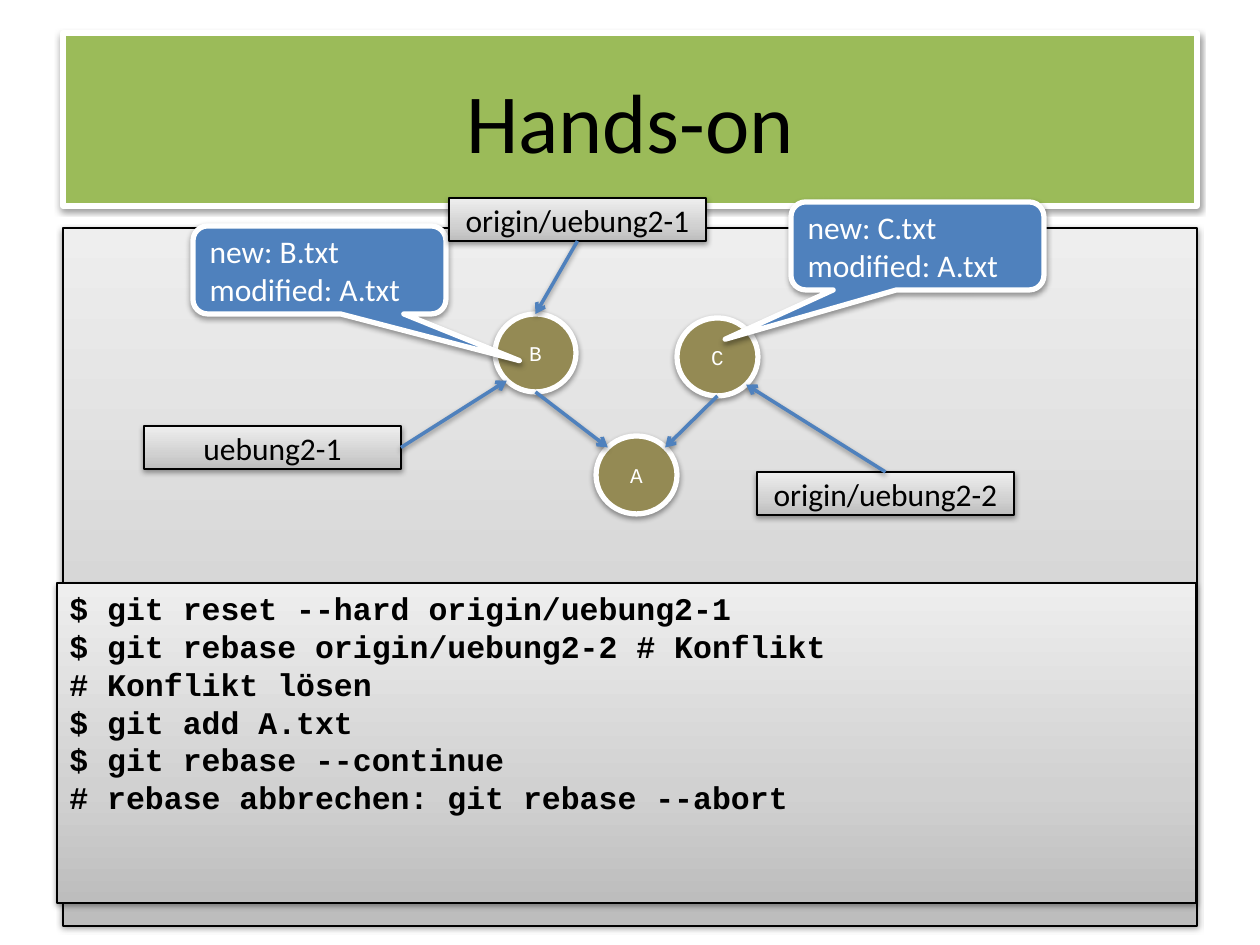
from lxml import etree
from pptx import Presentation
from pptx import util as u
from pptx.dml.color import RGBColor
from pptx.enum import shapes, text
from pptx.oxml import parse_xml
from pptx.oxml.ns import nsdecls, qn

SCALE = 914400 / 126  # EMU per px

BLACK = RGBColor(0x00, 0x00, 0x00)
WHITE = RGBColor(0xFF, 0xFF, 0xFF)
GREEN = RGBColor(0x9B, 0xBB, 0x59)
BLUE = RGBColor(0x4F, 0x81, 0xBD)
OLIVE = RGBColor(0x94, 0x8A, 0x54)
# Grey gradient, running upwards: position in percent, colour
GREYS = [(0, RGBColor(0xBD, 0xBD, 0xBD)),
         (35, RGBColor(0xD1, 0xD1, 0xD1)),
         (100, RGBColor(0xEE, 0xEE, 0xEE))]

SANS, MONO = "Calibri", "Courier New"
CENTER, LEFT = text.PP_ALIGN.CENTER, text.PP_ALIGN.LEFT
MIDDLE, TOP = text.MSO_ANCHOR.MIDDLE, text.MSO_ANCHOR.TOP
SHAPE = shapes.MSO_SHAPE

COMMANDS = [
    "$ git reset --hard origin/uebung2-1",
    "$ git rebase origin/uebung2-2 # Konflikt",
    "# Konflikt lösen",
    "$ git add A.txt",
    "$ git rebase --continue",
    "# rebase abbrechen: git rebase --abort",
]


def px(n):
    return u.Emu(round(n * SCALE))


def add_shadow(sp):
    sp._element.spPr.append(parse_xml(
        f'<a:effectLst {nsdecls("a")}>'
        '<a:outerShdw blurRad="40000" dist="20000" dir="5400000" rotWithShape="0">'
        '<a:srgbClr val="000000"><a:alpha val="38000"/></a:srgbClr>'
        '</a:outerShdw></a:effectLst>'))


def fill_grey(sp):
    sp.fill.gradient()
    grad = sp._element.spPr.find(qn("a:gradFill"))
    stops = grad.find(qn("a:gsLst"))
    for stop in list(stops):
        stops.remove(stop)
    for pos, color in GREYS:
        gs = etree.SubElement(stops, qn("a:gs"), pos=str(pos * 1000))
        etree.SubElement(gs, qn("a:srgbClr"), val=str(color))
    grad.find(qn("a:lin")).set("ang", "16200000")


def add_box(s, kind, x, y, w, h, fill=None):
    """White-edged box in one colour, or a thin black-edged grey one."""
    sp = s.shapes.add_shape(kind, px(x), px(y), px(w), px(h))
    if fill is None:
        fill_grey(sp)
    else:
        sp.fill.solid()
        sp.fill.fore_color.rgb = fill
    sp.line.color.rgb = BLACK if fill is None else WHITE
    sp.line.width = u.Pt(0.75 if fill is None else 3)
    add_shadow(sp)
    return sp


def write(sp, lines, size, color, font=SANS, align=CENTER, anchor=MIDDLE, bold=False):
    tf = sp.text_frame
    tf.word_wrap = True
    tf.vertical_anchor = anchor
    for i, line in enumerate(lines):
        p = tf.add_paragraph() if i else tf.paragraphs[0]
        p.alignment = align
        r = p.add_run()
        r.text = line
        r.font.name = font
        r.font.size = u.Pt(size)
        r.font.bold = bold
        r.font.color.rgb = color


def add_commit(s, name, x, y):
    sp = add_box(s, SHAPE.OVAL, x, y, 81, 78, OLIVE)
    write(sp, [name], 12, WHITE, MONO)
    return sp


def add_branch(s, name, x, y):
    sp = add_box(s, SHAPE.RECTANGLE, x, y, 257, 43)
    write(sp, [name], 18, BLACK)
    return sp


def add_callout(s, lines, x, y, tip):
    sp = add_box(s, SHAPE.ROUNDED_RECTANGULAR_CALLOUT, x, y, 253, 88, BLUE)
    sp.adjustments[0], sp.adjustments[1] = tip
    write(sp, lines, 18, WHITE, align=LEFT)


def rim(sp, dx, dy):
    """Point on an ellipse in direction (dx, dy), each -1, 0 or 1."""
    k = 0.5 / (dx * dx + dy * dy) ** 0.5
    return (round(sp.left + sp.width * (0.5 + k * dx)),
            round(sp.top + sp.height * (0.5 + k * dy)))


def add_arrow(s, start, end, source=None, site=0):
    c = s.shapes.add_connector(shapes.MSO_CONNECTOR.STRAIGHT, *start, *end)
    if source is not None:
        c.begin_connect(source, site)
    c.line.color.rgb = BLUE
    c.line.width = u.Pt(2)
    etree.SubElement(c.line._get_or_add_ln(), qn("a:tailEnd"), type="arrow")
    add_shadow(c)


def main():
    prs = Presentation()
    prs.slide_width, prs.slide_height = u.Inches(10), u.Inches(7.5)
    s = prs.slides.add_slide(prs.slide_layouts[6])

    # Background panel and title
    add_box(s, SHAPE.RECTANGLE, 63, 228, 1134, 698)
    title = add_box(s, SHAPE.RECTANGLE, 63, 33, 1134, 173, GREEN)
    write(title, ["Hands-on"], 48, BLACK)

    # Commits, each pointing to its parent
    a = add_commit(s, "A", 596, 436)
    b = add_commit(s, "B", 495, 314)
    c = add_commit(s, "C", 677, 318)
    add_arrow(s, rim(b, 0, 1), rim(a, -1, -1))
    add_arrow(s, rim(c, 0, 1), rim(a, 1, -1))

    # Changes made by the commits
    add_callout(s, ["new: B.txt", "modified: A.txt"], 193, 226, (0.79, 1.03))
    add_callout(s, ["new: C.txt", "modified: A.txt"], 791, 202, (-0.76, 1.06))

    # Branches: name, position, commit, side left, point reached
    branches = [
        ("origin/uebung2-1", 449, 198, b, 2, (0, -1)),
        ("origin/uebung2-2", 757, 472, c, 0, (1, 1)),
        ("uebung2-1", 144, 426, b, 3, (-1, 1)),
    ]
    for name, x, y, commit, site, direction in branches:
        branch = add_branch(s, name, x, y)
        add_arrow(s, (px(x), px(y)), rim(commit, *direction), branch, site)

    # Commands
    console = add_box(s, SHAPE.RECTANGLE, 57, 583, 1139, 320)
    write(console, COMMANDS, 18, BLACK, MONO, LEFT, TOP, bold=True)

    prs.save("out.pptx")


if __name__ == "__main__":
    main()
